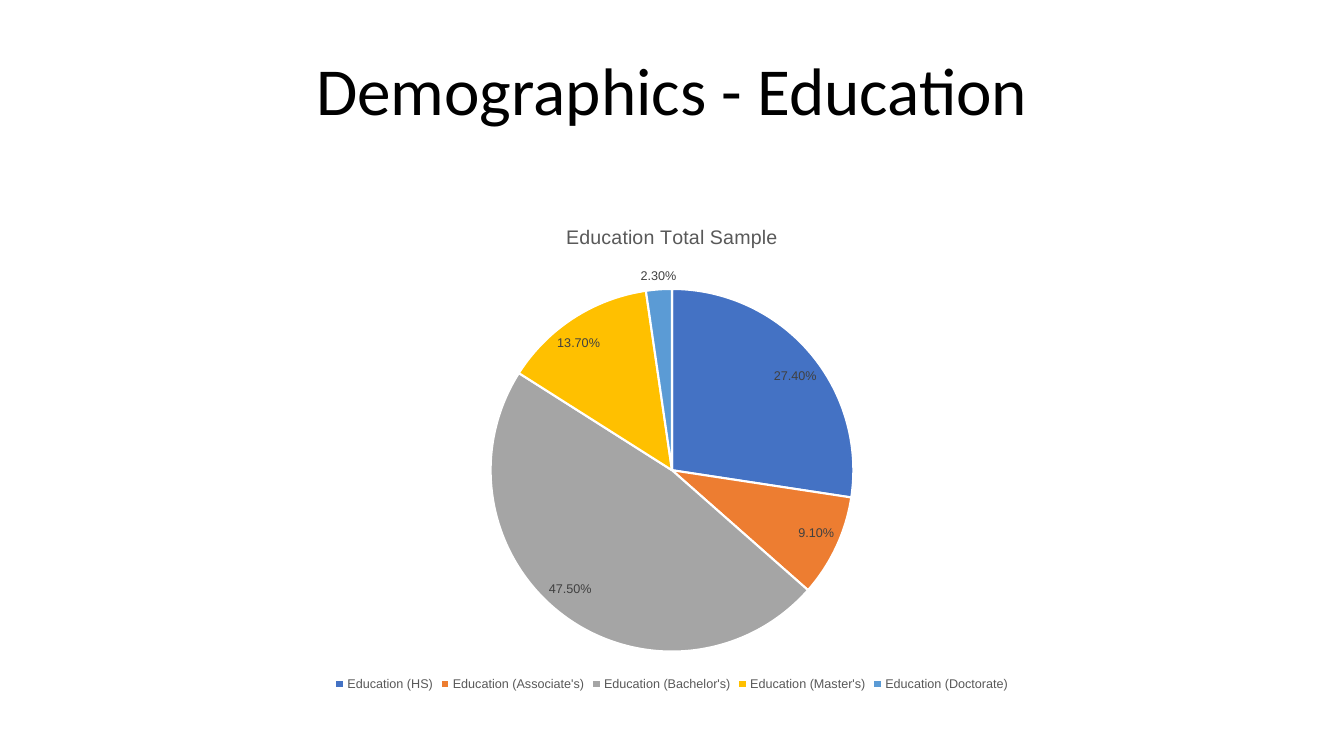
import pptx
import pptx.chart.data
import pptx.dml.color
import pptx.enum.chart
import pptx.enum.text
import pptx.util

Inches = pptx.util.Inches

TITLE = "Demographics - Education"
CHART_TITLE = "Education Total Sample"
EDUCATION = [
    ("Education (HS)", 0.274, "4472C4"),
    ("Education (Associate's)", 0.091, "ED7D31"),
    ("Education (Bachelor's)", 0.475, "A5A5A5"),
    ("Education (Master's)", 0.137, "FFC000"),
    ("Education (Doctorate)", 0.023, "5B9BD5"),
]
THEME = {
    "title": ("Calibri", 48, "000000"),
    "chart": ("Arial", 10, "000000"),
    "chart_title": ("Arial", 14, "595959"),
    "legend": ("Arial", 9, "595959"),
    "labels": ("Arial", 9, "404040"),
    "slice_border": "FFFFFF",
}
SLIDE_SIZE = (13.33, 7.5)
CONTENT_WIDTH = 11.5
LEFT = (SLIDE_SIZE[0] - CONTENT_WIDTH) / 2
TITLE_TOP, TITLE_HEIGHT = 0.32, 1.02
CHART_TOP, CHART_HEIGHT = 2.04, 4.86


def color(value):
    return pptx.dml.color.RGBColor.from_string(value)


def style_font(font, role):
    name, size, value = THEME[role]
    font.name = name
    font.size = pptx.util.Pt(size)
    font.bold = False
    font.color.rgb = color(value)


def add_title(page):
    box = page.shapes.add_textbox(
        Inches(LEFT), Inches(TITLE_TOP), Inches(CONTENT_WIDTH), Inches(TITLE_HEIGHT)
    )
    frame = box.text_frame
    frame.word_wrap = True
    frame.vertical_anchor = pptx.enum.text.MSO_ANCHOR.BOTTOM
    frame.text = TITLE
    para = frame.paragraphs[0]
    para.alignment = pptx.enum.text.PP_ALIGN.CENTER
    para.line_spacing = 0.9
    style_font(para.runs[0].font, "title")


def add_pie(page):
    names, shares, fills = zip(*EDUCATION)
    data = pptx.chart.data.CategoryChartData(number_format="0.00%")
    data.categories = names
    data.add_series("Series 1", shares)
    chart = page.shapes.add_chart(
        pptx.enum.chart.XL_CHART_TYPE.PIE,
        Inches(LEFT), Inches(CHART_TOP), Inches(CONTENT_WIDTH), Inches(CHART_HEIGHT),
        data,
    ).chart
    style_font(chart.font, "chart")

    chart.has_title = True
    heading = chart.chart_title
    heading.include_in_layout = False
    heading.text_frame.text = CHART_TITLE
    style_font(heading.text_frame.paragraphs[0].runs[0].font, "chart_title")

    chart.has_legend = True
    chart.legend.position = pptx.enum.chart.XL_LEGEND_POSITION.BOTTOM
    chart.legend.include_in_layout = False
    style_font(chart.legend.font, "legend")

    plot = chart.plots[0]
    plot.vary_by_categories = True
    series = plot.series[0]
    for index, fill in enumerate(fills):
        slice_format = series.points[index].format
        slice_format.fill.solid()
        slice_format.fill.fore_color.rgb = color(fill)
        slice_format.line.color.rgb = color(THEME["slice_border"])
        slice_format.line.width = pptx.util.Pt(1.5)

    labels = series.data_labels
    labels.show_value = True
    labels.show_percentage = False
    labels.number_format = "0.00%"
    labels.number_format_is_linked = False
    labels.position = pptx.enum.chart.XL_LABEL_POSITION.BEST_FIT
    style_font(labels.font, "labels")


def main():
    deck = pptx.Presentation()
    deck.slide_width, deck.slide_height = map(Inches, SLIDE_SIZE)
    page = deck.slides.add_slide(deck.slide_layouts[6])
    add_title(page)
    add_pie(page)
    deck.save("out.pptx")


if __name__ == "__main__":
    main()
